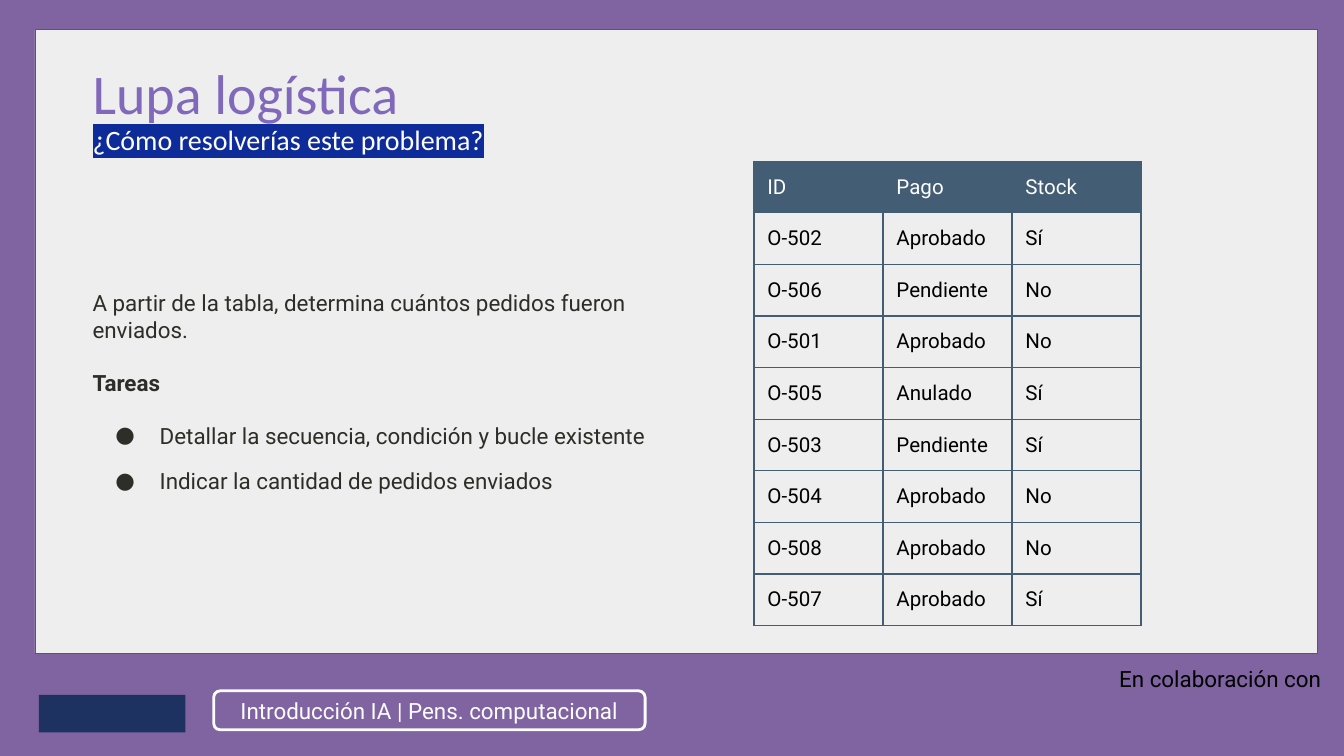
"""Build the logistics exercise slide with its order table."""
import pptx
import pptx.dml.color
import pptx.enum.shapes
import pptx.enum.text
import pptx.oxml
import pptx.oxml.ns
import pptx.util

Inches, Pt = pptx.util.Inches, pptx.util.Pt
SHAPES = pptx.enum.shapes.MSO_SHAPE
ANCHOR = pptx.enum.text.MSO_ANCHOR
ALIGN = pptx.enum.text.PP_ALIGN

THEME = {
    "backdrop": "000000", "purple": "8064A2", "panel": "EEEEEE", "panel_line": "595959",
    "title": "8068BB", "light": "FDFDFD", "highlight": "0E2C99",
    "body": "2D2E27", "table": "435D74", "black": "000000", "navy": "1E3261",
    "heading_font": "Calibri", "body_font": "Roboto",
    "title_size": 30, "subtitle_size": 15, "body_size": 12, "table_size": 11,
}

HEADING = [
    ("Lupa logística", {"size": THEME["title_size"], "color": THEME["title"]}),
    ("¿Cómo resolverías este problema?",
     {"size": THEME["subtitle_size"], "color": THEME["light"], "highlight": THEME["highlight"]}),
]
BODY = [
    ("A partir de la tabla, determina cuántos pedidos fueron enviados.", {}),
    ("Tareas", {"bold": True, "before": 14}),
    ("Detallar la secuencia, condición y bucle existente", {"bullet": "●", "before": 14}),
    ("Indicar la cantidad de pedidos enviados", {"bullet": "●", "before": 10, "after": 10}),
]
COURSE = "Introducción IA | Pens. computacional"
PARTNER = "En colaboración con"
ORDERS = [
    ("ID", "Pago", "Stock"),
    ("O-502", "Aprobado", "Sí"),
    ("O-506", "Pendiente", "No"),
    ("O-501", "Aprobado", "No"),
    ("O-505", "Anulado", "Sí"),
    ("O-503", "Pendiente", "Sí"),
    ("O-504", "Aprobado", "No"),
    ("O-508", "Aprobado", "No"),
    ("O-507", "Aprobado", "Sí"),
]
SLIDE_WIDTH = 10
SLIDE_HEIGHT = SLIDE_WIDTH * 9 / 16
COLUMN_WIDTH, ROW_HEIGHT = 0.96, 0.37


def rgb(color):
    """Return a colour object for a hex string."""
    return pptx.dml.color.RGBColor.from_string(color)


def make_element(xml):
    """Parse one DrawingML element."""
    namespace = pptx.oxml.ns.nsdecls("a")
    return pptx.oxml.parse_xml(xml.replace(" ", f" {namespace} ", 1))


def write_text(paragraph, text, *, size=THEME["body_size"], font=THEME["body_font"],
               color=THEME["body"], bold=False, align=None, spacing=None,
               before=0, after=0, bullet=None, highlight=None):
    """Write one formatted run into a paragraph."""
    if bullet:
        properties = paragraph._p.get_or_add_pPr()
        properties.set("marL", str(Inches(0.5)))
        properties.set("indent", str(Inches(-0.33)))
        properties.append(make_element(f'<a:buClr ><a:srgbClr val="{color}"/></a:buClr>'))
        properties.append(make_element(f'<a:buFont typeface="{font}"/>'))
        properties.append(make_element(f'<a:buChar char="{bullet}"/>'))
    paragraph.alignment = align
    paragraph.line_spacing = spacing
    paragraph.space_before, paragraph.space_after = Pt(before), Pt(after)
    run = paragraph.add_run()
    run.text = text
    run.font.size, run.font.bold, run.font.name = Pt(size), bold, font
    run.font.color.rgb = rgb(color)
    if highlight:
        fill = run._r.rPr.find(pptx.oxml.ns.qn("a:solidFill"))
        fill.addnext(make_element(f'<a:highlight ><a:srgbClr val="{highlight}"/></a:highlight>'))


def set_margins(target, inset):
    """Give a text frame or cell equal margins."""
    target.margin_left = target.margin_right = Inches(inset)
    target.margin_top = target.margin_bottom = Inches(inset)


def add_text(slide, box, content, inset=0.1, **shared):
    """Add a wrapped text box holding a list of paragraphs."""
    frame = slide.shapes.add_textbox(*map(Inches, box)).text_frame
    frame.word_wrap = True
    set_margins(frame, inset)
    for index, (text, extra) in enumerate(content):
        paragraph = frame.add_paragraph() if index else frame.paragraphs[0]
        write_text(paragraph, text, **{**shared, **extra})


def add_box(slide, kind, box, fill=None, line=None, weight=1):
    """Add a preset shape with optional fill and line."""
    shape = slide.shapes.add_shape(kind, *map(Inches, box))
    shape.shadow.inherit = False
    if fill:
        shape.fill.solid()
        shape.fill.fore_color.rgb = rgb(fill)
    else:
        shape.fill.background()
    if line:
        shape.line.color.rgb = rgb(line)
        shape.line.width = Pt(weight)
    else:
        shape.line.fill.background()
    return shape


def add_orders(slide, left, top):
    """Add the bordered order table."""
    rows, columns = len(ORDERS), len(ORDERS[0])
    size = (columns * COLUMN_WIDTH, rows * ROW_HEIGHT)
    table = slide.shapes.add_table(rows, columns, *map(Inches, (left, top, *size))).table
    for column in table.columns:
        column.width = Inches(COLUMN_WIDTH)
    for row_index, values in enumerate(ORDERS):
        table.rows[row_index].height = Inches(ROW_HEIGHT)
        for column_index, value in enumerate(values):
            cell = table.cell(row_index, column_index)
            cell.vertical_anchor = ANCHOR.MIDDLE
            set_margins(cell, 0.1)
            if row_index == 0:
                cell.fill.solid()
                cell.fill.fore_color.rgb = rgb(THEME["table"])
            else:
                cell.fill.background()
            for position, side in enumerate("LRTB"):
                cell._tc.tcPr.insert(position, make_element(
                    f'<a:ln{side} w="{Pt(0.75)}"><a:solidFill>'
                    f'<a:srgbClr val="{THEME["table"]}"/></a:solidFill></a:ln{side}>'))
            write_text(cell.text_frame.paragraphs[0], value, size=THEME["table_size"],
                       color=THEME["black"] if row_index else THEME["light"])


def main():
    """Compose and save the slide."""
    presentation = pptx.Presentation()
    presentation.slide_width = Inches(SLIDE_WIDTH)
    presentation.slide_height = Inches(SLIDE_HEIGHT)
    slide = presentation.slides.add_slide(presentation.slide_layouts[6])
    slide.background.fill.solid()
    slide.background.fill.fore_color.rgb = rgb(THEME["backdrop"])
    add_box(slide, SHAPES.RECTANGLE, (0, 0, SLIDE_WIDTH, SLIDE_HEIGHT), THEME["purple"])
    add_box(slide, SHAPES.RECTANGLE, (0.26, 0.22, 9.54, 4.64),
            THEME["panel"], THEME["panel_line"], 0.38)
    add_text(slide, (8.23, 4.9, 1.7, 0.26), [(PARTNER, {})], inset=0.05,
             color=THEME["black"], align=ALIGN.CENTER)
    add_box(slide, SHAPES.RECTANGLE, (0.29, 5.17, 1.09, 0.28), THEME["navy"])
    add_text(slide, (0.59, 2.05, 4.41, 1.76), BODY)
    add_text(slide, (0.59, 0.39, 4.41, 0.88), HEADING,
             font=THEME["heading_font"], spacing=0.9)
    course = add_box(slide, SHAPES.ROUNDED_RECTANGLE, (1.59, 5.14, 3.21, 0.29),
                     line=THEME["light"], weight=1.5)
    set_margins(course.text_frame, 0.1)
    course.text_frame.vertical_anchor = ANCHOR.MIDDLE
    write_text(course.text_frame.paragraphs[0], COURSE,
               color=THEME["light"], align=ALIGN.CENTER)
    add_orders(slide, 5.61, 1.2)
    presentation.save("out.pptx")


if __name__ == "__main__":
    main()
